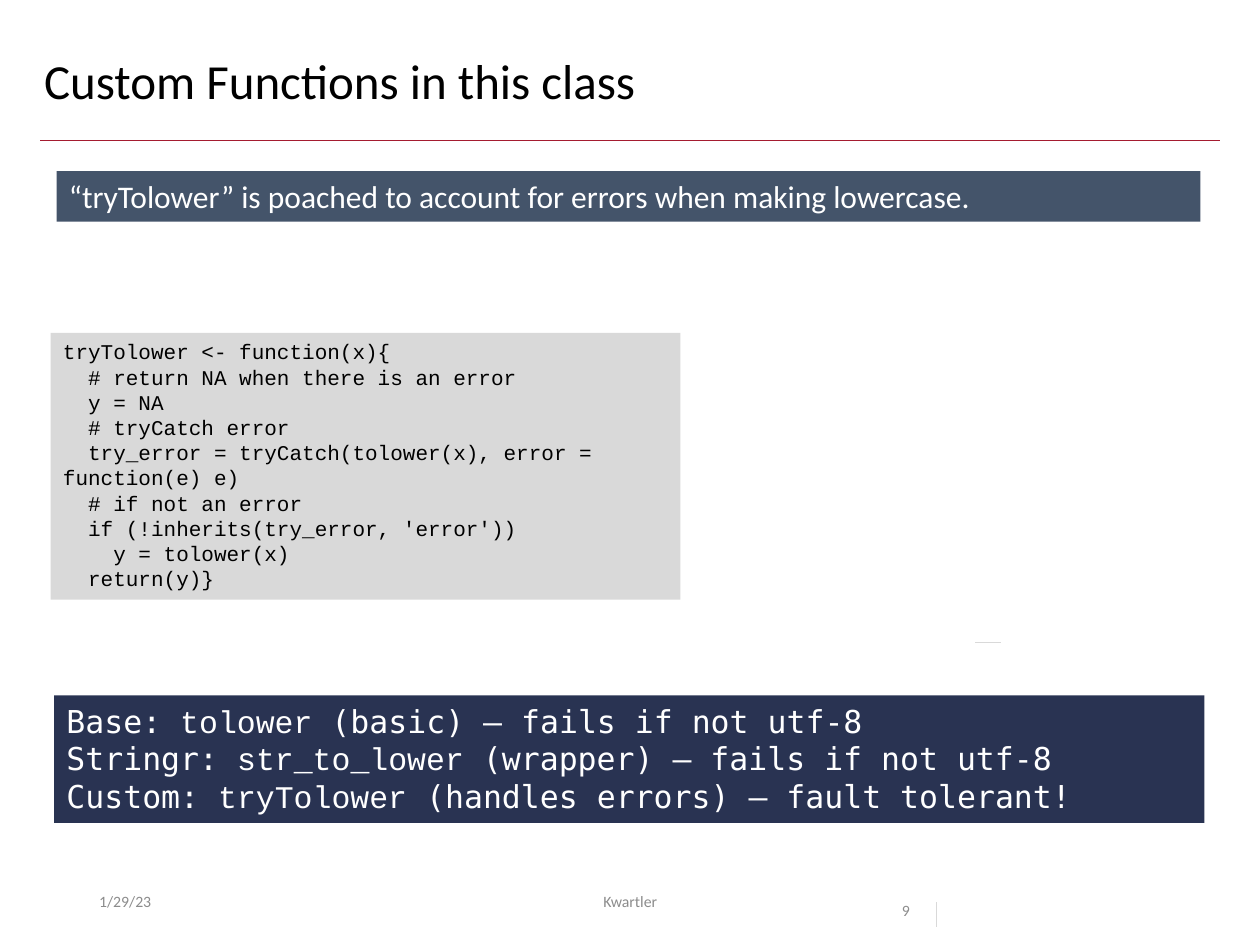
from lxml.etree import SubElement
from pptx import Presentation
from pptx.dml.color import RGBColor as Rgb
from pptx.enum.shapes import MSO_CONNECTOR as Conn, MSO_SHAPE as Form
from pptx.enum.text import MSO_ANCHOR as Anchor, MSO_AUTO_SIZE as Fit, PP_ALIGN as Align
from pptx.oxml.ns import qn
from pptx.util import Cm, Pt

INK = {
    "rule": "A51C30", "tick": "D9D9D9", "foot": "8C8C8C", "text": "000000",
    "light": "FFFFFF", "code": "D9D9D9", "slate": "44546A", "navy": "293352",
}
SANS, CODE, MONO = "Calibri", "Courier New", "DejaVu Sans Mono"

SOURCE = """tryTolower <- function(x){
  # return NA when there is an error
  y = NA
  # tryCatch error
  try_error = tryCatch(tolower(x), error = function(e) e)
  # if not an error
  if (!inherits(try_error, 'error'))
    y = tolower(x)
  return(y)}"""

CASES = [
    ("Base: ", "tolower", " (basic) – fails if not utf-8"),
    ("Stringr: ", "str_to_lower", " (wrapper) – fails if not utf-8"),
    ("Custom: ", "tryTolower", " (handles errors) – fault tolerant!"),
]


def color(name):
    return Rgb.from_string(INK[name])


def style(font, face, size, ink):
    font.name, font.size = face, Pt(size)
    font.color.rgb = color(ink)


def write(frame, lines, face, size, ink, align=Align.LEFT, gap=None):
    """Fill a text frame with one paragraph per line."""
    frame.word_wrap = True
    for i, line in enumerate(lines):
        para = frame.paragraphs[0] if i == 0 else frame.add_paragraph()
        para.alignment = align
        if gap:
            para.line_spacing = gap
        para.add_run().text = line
        style(para.font, face, size, ink)


def label(slide, box, text, size, ink, anchor=Anchor.TOP, **look):
    frame = slide.shapes.add_textbox(*map(Cm, box)).text_frame
    frame.vertical_anchor = anchor
    write(frame, [text], SANS, size, ink, **look)


def panel(slide, box, fill):
    """Add a plain filled box and return its text frame."""
    shape = slide.shapes.add_shape(Form.RECTANGLE, *map(Cm, box))
    shape.shadow.inherit = False
    shape.fill.solid()
    shape.fill.fore_color.rgb = color(fill)
    shape.line.fill.background()
    frame = shape.text_frame
    frame.word_wrap = True
    frame.auto_size = Fit.SHAPE_TO_FIT_TEXT
    frame.vertical_anchor = Anchor.TOP
    return frame


def rule(slide, ends, ink):
    line = slide.shapes.add_connector(Conn.STRAIGHT, *map(Cm, ends))
    line.line.color.rgb = color(ink)
    line.line.width = Pt(0.5)
    SubElement(line._element.spPr, qn("a:effectLst"))


def compare(frame):
    """List the cases, with each function name in the code font."""
    for i, case in enumerate(CASES):
        para = frame.paragraphs[0] if i == 0 else frame.add_paragraph()
        para.alignment = Align.LEFT
        for text, face in zip(case, (MONO, CODE, MONO)):
            run = para.add_run()
            run.text = text
            style(run.font, face, 18, "light")


def main():
    prs = Presentation()
    prs.slide_width, prs.slide_height = Cm(25.4), Cm(19.05)
    slide = prs.slides.add_slide(prs.slide_layouts[6])

    # Heading
    rule(slide, (0.81, 2.84, 24.59, 2.84), "rule")
    label(slide, (0.64, 1.02, 24.05, 1.65), "Custom Functions in this class",
          28, "text", gap=0.9)

    # Code and comments
    write(panel(slide, (1.02, 6.71, 12.7, 5.38), "code"),
          SOURCE.split("\n"), CODE, 12, "text")
    write(panel(slide, (1.14, 3.45, 23.06, 1.02), "slate"),
          ["“tryTolower” is poached to account for errors when making lowercase."],
          SANS, 18, "light")
    compare(panel(slide, (1.09, 14.02, 23.19, 2.57), "navy"))

    # Small ticks
    rule(slide, (18.87, 18.19, 18.87, 18.69), "tick")
    rule(slide, (19.66, 12.95, 20.17, 12.95), "tick")

    # Footer
    top, tall = 17.65, 1.02
    label(slide, (1.75, top, 5.72, tall), "1/29/23", 9, "foot", Anchor.MIDDLE)
    label(slide, (8.41, top, 8.59, tall), "Kwartler", 9, "foot",
          Anchor.MIDDLE, align=Align.CENTER)
    label(slide, (17.93, top, 2.39, tall), "9", 9, "foot", gap=2.0)

    prs.save("out.pptx")


if __name__ == "__main__":
    main()
